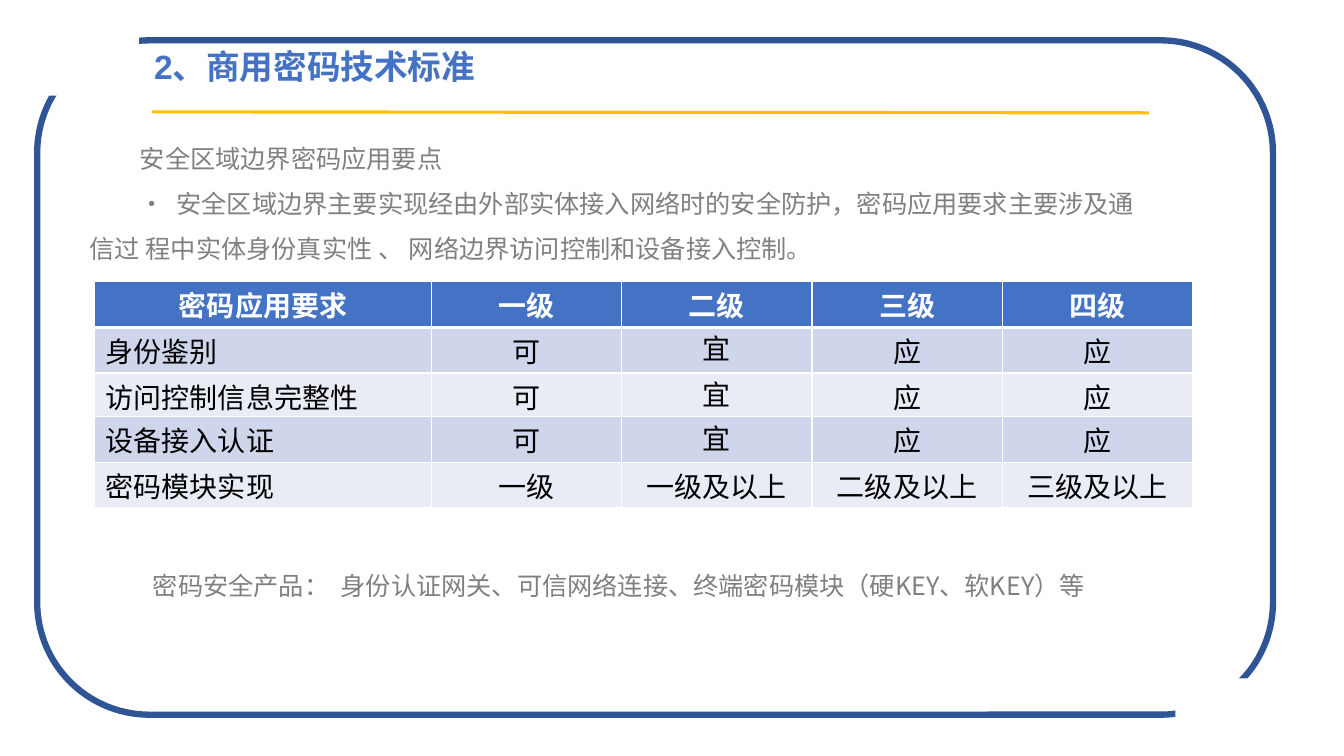
from pptx import Presentation
from pptx import util as u
from pptx.dml.color import RGBColor
from pptx.enum import shapes, text
from pptx.oxml import parse_xml
from pptx.oxml.ns import nsdecls, qn

Pt = u.Pt
NAVY = RGBColor(0x2F, 0x55, 0x97)
BLUE = RGBColor(0x44, 0x72, 0xC4)
GOLD = RGBColor(0xFF, 0xC0, 0x00)
GREY = RGBColor(0x80, 0x80, 0x80)
BLACK = RGBColor(0, 0, 0)
WHITE = RGBColor(0xFF, 0xFF, 0xFF)
BAND_DARK = RGBColor(0xCF, 0xD5, 0xEA)
BAND_LIGHT = RGBColor(0xE9, 0xEB, 0xF5)
CJK = "Noto Sans CJK SC"

INTRO = [
    "安全区域边界密码应用要点",
    "•  安全区域边界主要实现经由外部实体接入网络时的安全防护，密码应用要求主要涉及"
    "通信过 程中实体身份真实性 、 网络边界访问控制和设备接入控制。",
]
PRODUCTS = "密码安全产品：  身份认证网关、可信网络连接、终端密码模块（硬KEY、软KEY）等"
LEVELS = [
    ["密码应用要求", "一级", "二级", "三级", "四级"],
    ["身份鉴别", "可", "宜", "应", "应"],
    ["访问控制信息完整性", "可", "宜", "应", "应"],
    ["设备接入认证", "可", "宜", "应", "应"],
    ["密码模块实现", "一级", "一级及以上", "二级及以上", "三级及以上"],
]
COL_WIDTHS = [240.5] + [135.9] * 4
ROW_HEIGHTS = [33, 32.6, 31, 32.6, 32.8]


def style_run(p, size, color, font=CJK, bold=False):
    for r in p.runs:
        r.font.size, r.font.bold, r.font.name = Pt(size), bold, font
        r.font.color.rgb = color
        r._r.get_or_add_rPr().append(
            parse_xml(f'<a:ea {nsdecls("a")} typeface="{CJK}"/>'))


def add_block(s, kind, x, y, w, h, fill=None, line=None):
    sp = s.shapes.add_shape(kind, Pt(x), Pt(y), Pt(w), Pt(h))
    sp.shadow.inherit = False
    if fill is None:
        sp.fill.background()
    else:
        sp.fill.solid()
        sp.fill.fore_color.rgb = fill
    if line is None:
        sp.line.fill.background()
    else:
        sp.line.color.rgb, sp.line.width = line, Pt(4.5)


def add_rule(s, x1, y1, x2, y2):
    c = s.shapes.add_connector(shapes.MSO_CONNECTOR.STRAIGHT,
                               Pt(x1), Pt(y1), Pt(x2), Pt(y2))
    c.line.color.rgb, c.line.width = GOLD, Pt(2.25)
    c._element.spPr.append(parse_xml(f'<a:effectLst {nsdecls("a")}/>'))


def add_text(s, x, y, w, h, lines, size, color, indent=0, spacing=1.0, **font):
    tf = s.shapes.add_textbox(Pt(x), Pt(y), Pt(w), Pt(h)).text_frame
    tf.word_wrap = True
    tf.text = "\n".join(lines)
    for p in tf.paragraphs:
        p.line_spacing = spacing
        p._p.get_or_add_pPr().set("indent", str(Pt(indent)))
        style_run(p, size, color, **font)


def set_borders(cell, row):
    tcPr = cell._tc.get_or_add_tcPr()
    for i, side in enumerate(("lnL", "lnR", "lnT", "lnB")):
        heavy = (row, side) in ((0, "lnB"), (1, "lnT"))
        tcPr.insert(i, parse_xml(
            f'<a:{side} {nsdecls("a")} w="{Pt(3 if heavy else 1)}"><a:solidFill>'
            f'<a:srgbClr val="{WHITE}"/></a:solidFill></a:{side}>'))


def fill_cell(cell, row, col, label):
    header = row == 0
    cell.fill.solid()
    cell.fill.fore_color.rgb = BLUE if header else BAND_DARK if row % 2 else BAND_LIGHT
    set_borders(cell, row)
    cell.margin_left = Pt(0 if header or col else 7.9)
    cell.margin_right = cell.margin_bottom = 0
    cell.margin_top = Pt(4 if label == "宜" else 6)
    cell.text = label
    p = cell.text_frame.paragraphs[0]
    p.line_spacing = Pt(25)
    p.alignment = text.PP_ALIGN.CENTER if header or col else text.PP_ALIGN.LEFT
    style_run(p, 20, WHITE if header else BLACK, bold=header)


def add_levels_table(s, x, y):
    frame = s.shapes.add_table(len(LEVELS), len(COL_WIDTHS), Pt(x), Pt(y),
                               Pt(sum(COL_WIDTHS)), Pt(sum(ROW_HEIGHTS)))
    tbl = frame.table
    for column, w in zip(tbl.columns, COL_WIDTHS):
        column.width = Pt(w)
    for i, (row, h) in enumerate(zip(tbl.rows, ROW_HEIGHTS)):
        row.height = Pt(h)
        for j, label in enumerate(LEVELS[i]):
            fill_cell(tbl.cell(i, j), i, j, label)


def main():
    prs = Presentation()
    prs.slide_width, prs.slide_height = Pt(960), Pt(540)
    s = prs.slides.add_slide(prs.slide_layouts[6])

    # Rounded frame with two opened corners
    kind = shapes.MSO_SHAPE
    add_block(s, kind.ROUNDED_RECTANGLE, 26.6, 28.8, 882.7, 481.7, line=NAVY)
    for x, y in ((26.6, 13), (839.5, 484.6)):
        add_block(s, kind.RECTANGLE, x, y, 72.7, 55.4, fill=WHITE)

    # Introduction, heading rule and heading
    add_text(s, 56.9, 87.8, 764.6, 105, INTRO, 18, GREY, indent=36, spacing=1.5)
    add_rule(s, 108.7, 79.9, 820.8, 80.6)
    add_text(s, 103, 29.5, 724.3, 36, ["2、商用密码技术标准"], 24, BLUE,
             font="Arial", bold=True)

    # Requirements by level
    add_levels_table(s, 67.7, 200.9)

    # Products
    add_text(s, 66.2, 393.1, 764.6, 39.6, [PRODUCTS], 18, GREY, indent=36, spacing=1.5)

    prs.save("out.pptx")


if __name__ == "__main__":
    main()
